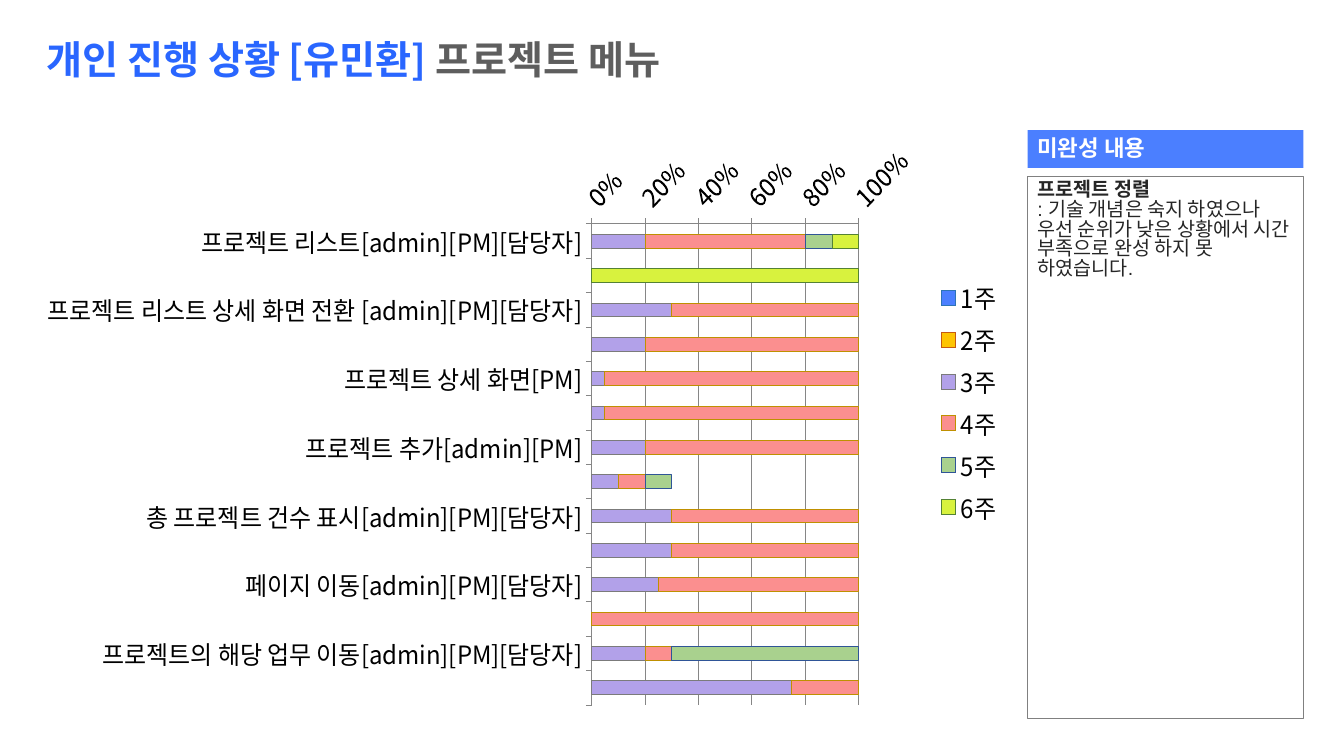
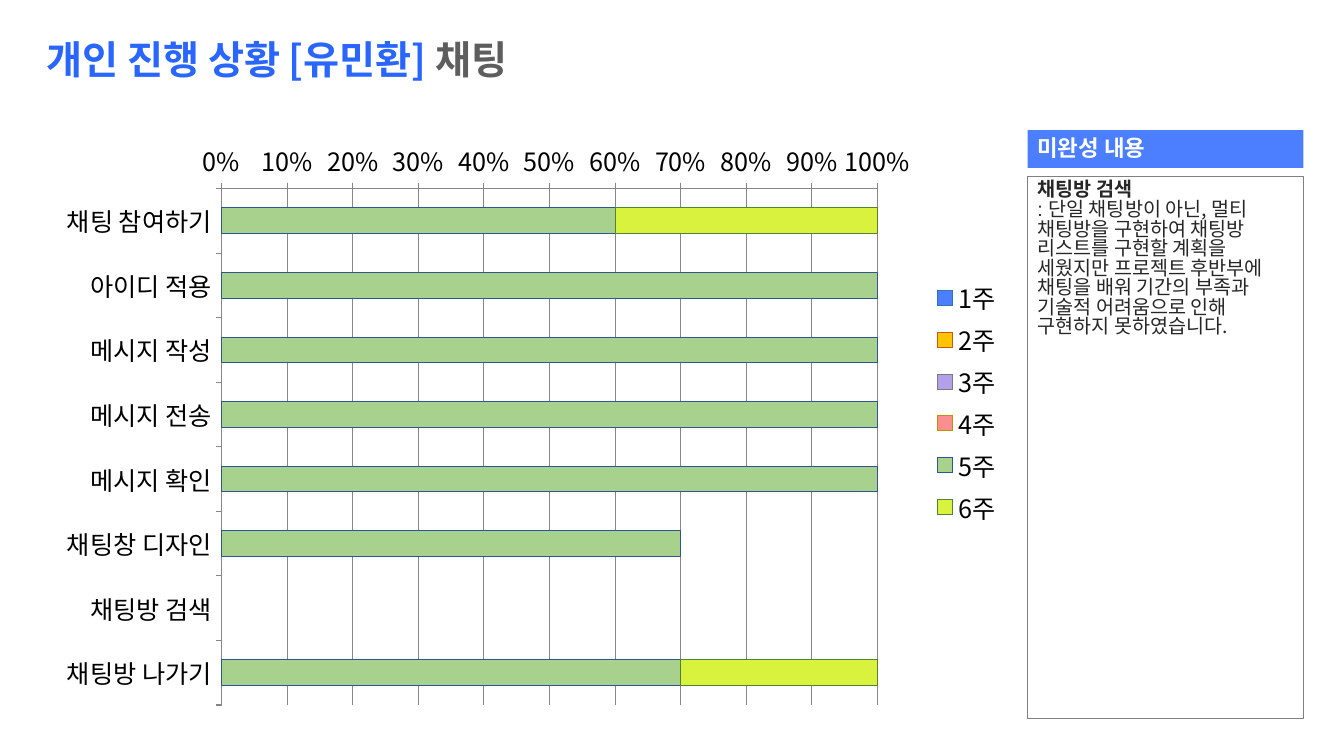
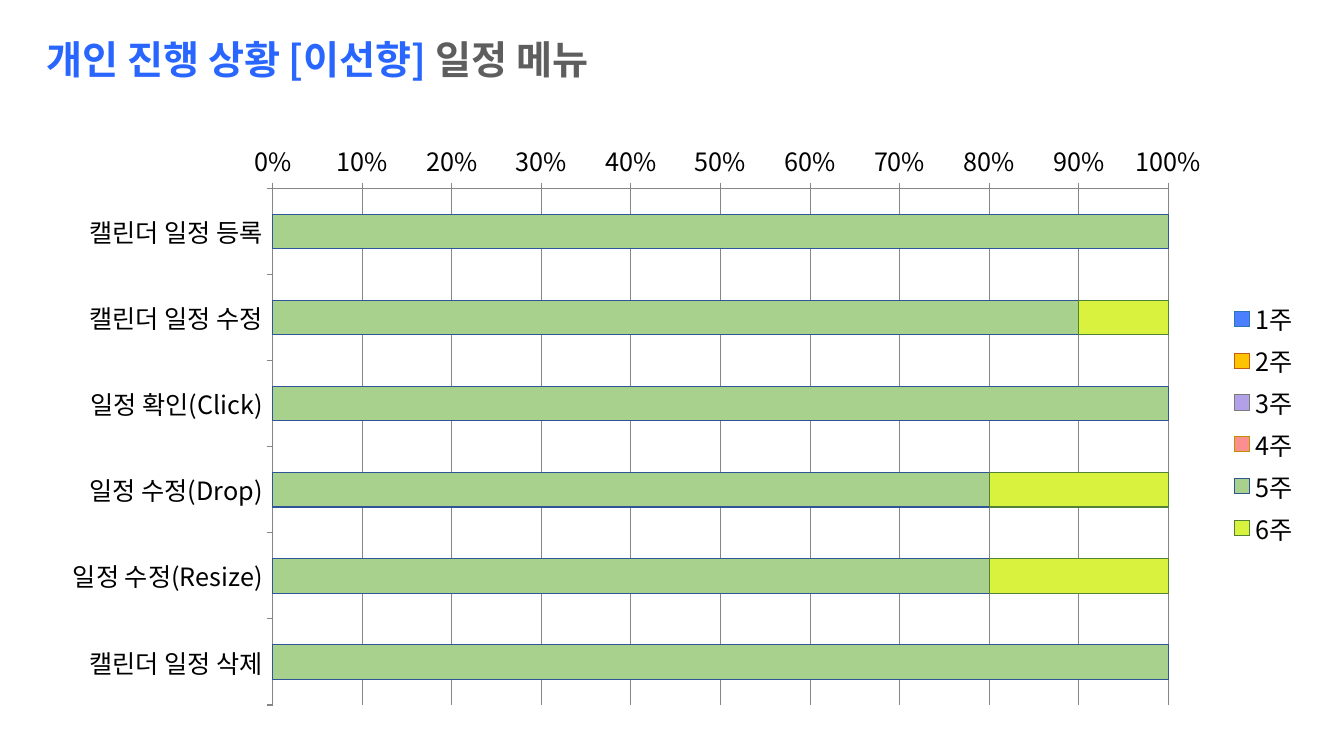
from lxml import etree
from pptx import Presentation
from pptx.chart.data import CategoryChartData
from pptx.dml.color import RGBColor
from pptx.enum import chart as ch, shapes, text
from pptx.oxml.ns import qn
from pptx.util import Pt

# Shared look
FACE, LATIN = "Noto Sans CJK KR", "Arial"
BLUE, BAND, GRAY, DARK, WHITE = "2966FF", "4B7FFF", "5E5E5E", "262626", "FFFFFF"
LINE, GRID = "808080", "868686"
LEFT, TOP = 34, 93
SIDE, WIDE = 734, 197
LEAD = "개인 진행 상황 "
HEAD = "미완성 내용"

# Series by week: name, fill, outline; the last one is the open remainder
WEEKS = {
    1: ("1주", "4B7FFF", "2E75B6"),
    2: ("2주", "FEC402", "C55A11"),
    3: ("3주", "B2A1E9", "7B7B7B"),
    4: ("4주", "FB8F8F", "BF9000"),
    5: ("5주", "A9D18E", "2F5597"),
    6: ("6주", "D8F23E", "548235"),
    7: ("　", None, None),
}
REST = 7

# Content: each task with its share by week
SLIDES = [
    dict(who="유민환", menu="프로젝트 메뉴", width=689, step=0.2, turn=-45,
         tasks=[
             ("프로젝트 리스트[admin][PM][담당자]", {3: 20, 4: 60, 5: 10, 6: 10}),
             ("프로젝트 진행률[admin][PM][담당자]", {6: 100}),
             ("프로젝트 리스트 상세 화면 전환 [admin][PM][담당자]", {3: 30, 4: 70}),
             ("프로젝트 상세 화면[admin]", {3: 20, 4: 80}),
             ("프로젝트 상세 화면[PM]", {3: 5, 4: 95}),
             ("프로젝트 상세 화면[담당자]", {3: 5, 4: 95}),
             ("프로젝트 추가[admin][PM]", {3: 20, 4: 80}),
             ("프로젝트 정렬[admin][PM][담당자]", {3: 10, 4: 10, 5: 10, REST: 70}),
             ("총 프로젝트 건수 표시[admin][PM][담당자]", {3: 30, 4: 70}),
             ("페이지 크기 지정[admin][PM][담당자]", {3: 30, 4: 70}),
             ("페이지 이동[admin][PM][담당자]", {3: 25, 4: 75}),
             ("프로젝트 참여 담당자 표시[admin][PM][담당자]", {4: 100}),
             ("프로젝트의 해당 업무 이동[admin][PM][담당자]", {3: 20, 4: 10, 5: 70}),
             ("프로젝트 검색[admin][PM][담당자]", {3: 75, 4: 25}),
         ],
         note=("프로젝트 정렬", LATIN,
               "기술 개념은 숙지 하였으나 우선 순위가 낮은 상황에서 "
               "시간 부족으로 완성 하지 못 하였습니다.")),
    dict(who="유민환", menu="채팅", width=689, step=0.1, turn=0,
         tasks=[
             ("채팅 참여하기", {5: 60, 6: 40}),
             ("아이디 적용", {5: 100}),
             ("메시지 작성", {5: 100}),
             ("메시지 전송", {5: 100}),
             ("메시지 확인", {5: 100}),
             ("채팅창 디자인", {5: 70, 6: 0, REST: 30}),
             ("채팅방 검색", {}),
             ("채팅방 나가기", {5: 70, 6: 30}),
         ],
         note=("채팅방 검색", FACE,
               "단일 채팅방이 아닌, 멀티 채팅방을 구현하여 채팅방 리스트를 "
               "구현할 계획을 세웠지만 프로젝트 후반부에 채팅을 배워 기간의 "
               "부족과 기술적 어려움으로 인해 구현하지 못하였습니다.")),
    dict(who="이선향", menu="일정 메뉴", width=901, step=0.1, turn=0,
         tasks=[
             ("캘린더 일정 등록", {5: 100}),
             ("캘린더 일정 수정", {5: 90, 6: 10}),
             ("일정 확인(Click)", {5: 100}),
             ("일정 수정(Drop)", {5: 80, 6: 20}),
             ("일정 수정(Resize)", {5: 80, 6: 20}),
             ("캘린더 일정 삭제", {5: 100}),
         ],
         note=None),
]


def rgb(code):
    return RGBColor.from_string(code)


def paint(line, code, width):
    line.color.rgb = rgb(code)
    line.width = Pt(width)


def style(font, size, code, bold=False, face=FACE):
    font.size, font.bold, font.name = Pt(size), bold, face
    font.color.rgb = rgb(code)
    latin = font._element.find(qn("a:latin"))
    east = etree.Element(qn("a:ea"), typeface=FACE)
    latin.addnext(east)


def add_title(slide, who, menu):
    title = slide.shapes.title
    title.left, title.top, title.width, title.height = Pt(33), Pt(29), Pt(546), Pt(34)
    frame = title.text_frame
    frame.margin_left = frame.margin_right = frame.margin_top = frame.margin_bottom = 0
    frame.vertical_anchor = text.MSO_ANCHOR.TOP
    frame.auto_size = text.MSO_AUTO_SIZE.NONE
    para = frame.paragraphs[0]
    para.alignment, para.line_spacing = text.PP_ALIGN.LEFT, 0.9
    style(para.font, 28, BLUE, True)
    para.add_run().text = f"{LEAD}[{who}] "
    name = para.add_run()
    name.text = menu
    name.font.color.rgb = rgb(GRAY)


def add_bars(slide, tasks, width, step, turn):
    data = CategoryChartData()
    data.categories = [task for task, _ in tasks]
    used = [w for w in WEEKS if w != REST or any(REST in part for _, part in tasks)]
    for week in used:
        data.add_series(WEEKS[week][0], [part.get(week) for _, part in tasks])
    chart = slide.shapes.add_chart(ch.XL_CHART_TYPE.BAR_STACKED_100, Pt(LEFT), Pt(TOP),
                                   Pt(width), Pt(419), data).chart
    style(chart.font, 18, "000000")
    chart.has_title = False
    chart.has_legend = True
    chart.legend.position = ch.XL_LEGEND_POSITION.RIGHT
    chart.legend.include_in_layout = False

    plot = chart.plots[0]
    plot.gap_width, plot.overlap, plot.vary_by_categories = 150, 100, False
    for week, bar in zip(used, plot.series):
        _, fill, edge = WEEKS[week]
        if fill:
            bar.format.fill.solid()
            bar.format.fill.fore_color.rgb = rgb(fill)
            paint(bar.format.line, edge, 0.75)
        else:
            bar.format.fill.background()
            bar.format.line.fill.background()

    # Axes: first task on top
    cat, val = chart.category_axis, chart.value_axis
    cat.reverse_order = True
    for axis in (cat, val):
        axis.major_tick_mark = ch.XL_TICK_MARK.OUTSIDE
        axis.minor_tick_mark = ch.XL_TICK_MARK.NONE
        paint(axis.format.line, GRID, 0.75)
    val.major_unit = step
    val.has_major_gridlines = True
    paint(val.major_gridlines.format.line, GRID, 0.75)
    val.tick_labels.number_format = "0%"
    val.tick_labels.number_format_is_linked = False
    if turn:
        style(val.tick_labels.font, 18, "000000")
        body = val._element.find(qn("c:txPr")).find(qn("a:bodyPr"))
        body.set("rot", str(turn * 60000))


def add_box(slide, top, height, fill, anchor):
    box = slide.shapes.add_shape(shapes.MSO_SHAPE.RECTANGLE, Pt(SIDE), Pt(top),
                                 Pt(WIDE), Pt(height))
    box.shadow.inherit = False
    box.fill.solid()
    box.fill.fore_color.rgb = rgb(fill)
    box.line.fill.background()
    box.text_frame.word_wrap = True
    box.text_frame.vertical_anchor = anchor
    return box


def add_para(para, words, space, size, code, bold=True, face=FACE):
    para.alignment, para.line_spacing = text.PP_ALIGN.LEFT, space
    style(para.font, size, code, bold, face)
    para.add_run().text = words


def add_note(slide, name, face, words):
    box = add_box(slide, 126, 387, WHITE, text.MSO_ANCHOR.TOP)
    paint(box.line, LINE, 0.5)
    frame = box.text_frame
    add_para(frame.paragraphs[0], name, 0.83, 14, DARK)
    para = frame.add_paragraph()
    add_para(para, ": ", 0.83, 14, DARK, False, face)
    para.runs[0].font.name = LATIN
    para.add_run().text = words
    band = add_box(slide, TOP, 27, BAND, text.MSO_ANCHOR.MIDDLE)
    add_para(band.text_frame.paragraphs[0], HEAD, 0.9, 16, WHITE)


def main():
    deck = Presentation()
    deck.slide_width, deck.slide_height = Pt(960), Pt(540)
    for page in SLIDES:
        slide = deck.slides.add_slide(deck.slide_layouts[5])
        add_title(slide, page["who"], page["menu"])
        add_bars(slide, page["tasks"], page["width"], page["step"], page["turn"])
        if page["note"]:
            add_note(slide, *page["note"])
    deck.save("out.pptx")


if __name__ == "__main__":
    main()
